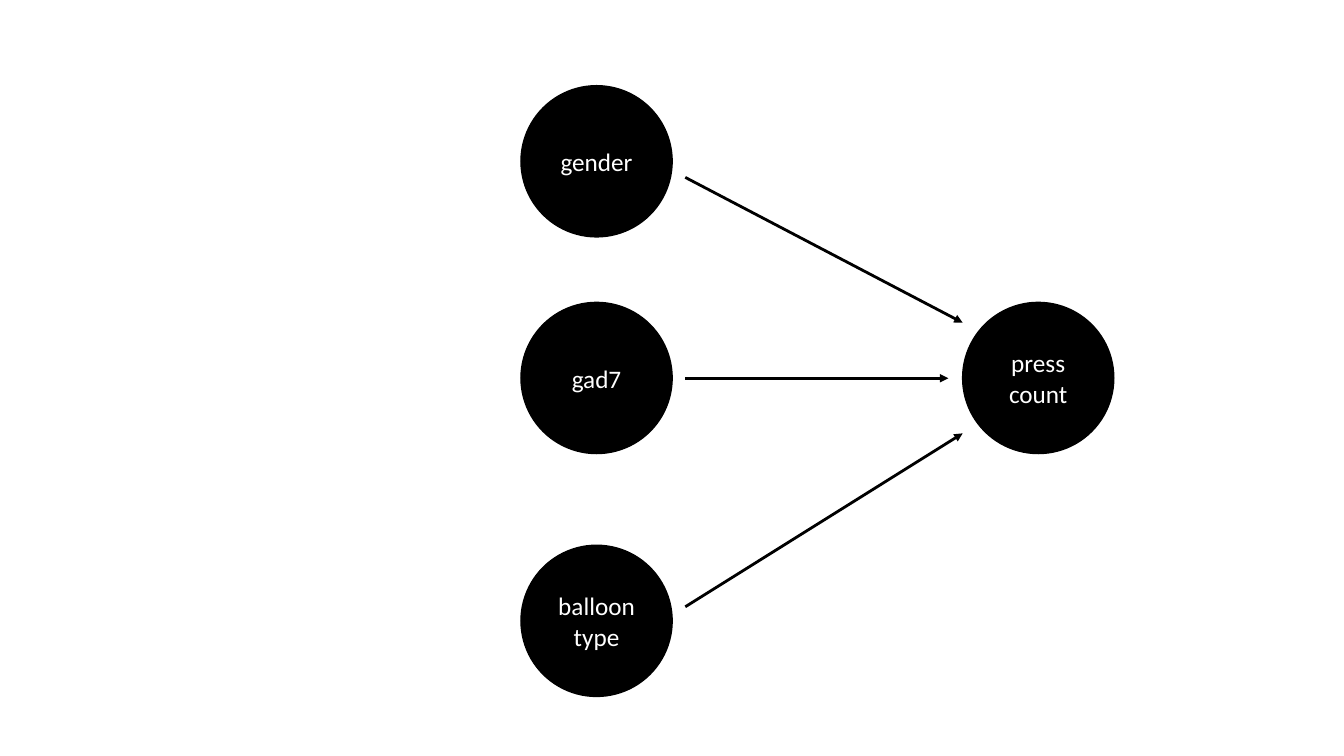
from lxml.etree import SubElement
from pptx import Presentation
from pptx.dml.color import RGBColor as Rgb
from pptx.enum.shapes import MSO_CONNECTOR as Connector, MSO_SHAPE as Shape
from pptx.enum.text import MSO_ANCHOR as Anchor, PP_ALIGN as Align
from pptx.oxml.ns import qn
from pptx.util import Cm, Pt

COLOURS = {"ink": "000000", "label": "FFFFFF"}
DIAMETER = 3.81


def apply(target, values):
    for name, value in values.items():
        setattr(target, name, value)


class Diagram:
    def __init__(self, slide):
        self.slide = slide
        self.ink = Rgb.from_string(COLOURS["ink"])
        self.label_font = {"name": "Calibri", "size": Pt(18)}
        self.label_colour = Rgb.from_string(COLOURS["label"])

    def stroke(self, line, points):
        line.color.rgb = self.ink
        line.width = Pt(points)

    def variable(self, label, left, top):
        circle = self.slide.shapes.add_shape(
            Shape.OVAL, Cm(left), Cm(top), Cm(DIAMETER), Cm(DIAMETER))
        circle.shadow.inherit = False
        circle.fill.solid()
        circle.fill.fore_color.rgb = self.ink
        self.stroke(circle.line, 1)
        frame = circle.text_frame
        apply(frame, {"text": label, "word_wrap": True,
                      "vertical_anchor": Anchor.MIDDLE})
        paragraph = frame.paragraphs[0]
        paragraph.alignment = Align.CENTER
        font = paragraph.runs[0].font
        apply(font, self.label_font)
        font.color.rgb = self.label_colour

    def effect(self, start, end):
        arrow = self.slide.shapes.add_connector(
            Connector.STRAIGHT, *map(Cm, start + end))
        self.stroke(arrow.line, 2)
        properties = arrow.element.spPr
        SubElement(properties.find(qn("a:ln")), qn("a:tailEnd"), type="triangle")
        SubElement(properties, qn("a:effectLst"))


deck = Presentation()
apply(deck, {"slide_width": Cm(33.87), "slide_height": Cm(19.05)})
diagram = Diagram(deck.slides.add_slide(deck.slide_layouts[6]))

predictor_left, outcome_left = 13.13, 24.26
middle_top = 7.62
effect_start = 17.27

diagram.variable("press count", outcome_left, middle_top)
predictors = [
    ("gender", 2.16, 4.47, (outcome_left, 8.13)),
    ("gad7", middle_top, 9.53, (23.9, 9.53)),
    ("balloon type", 13.74, 15.29, (outcome_left, 10.92)),
]
for predictor, top, start_height, effect_end in predictors:
    diagram.variable(predictor, predictor_left, top)
    diagram.effect((effect_start, start_height), effect_end)

deck.save("out.pptx")
